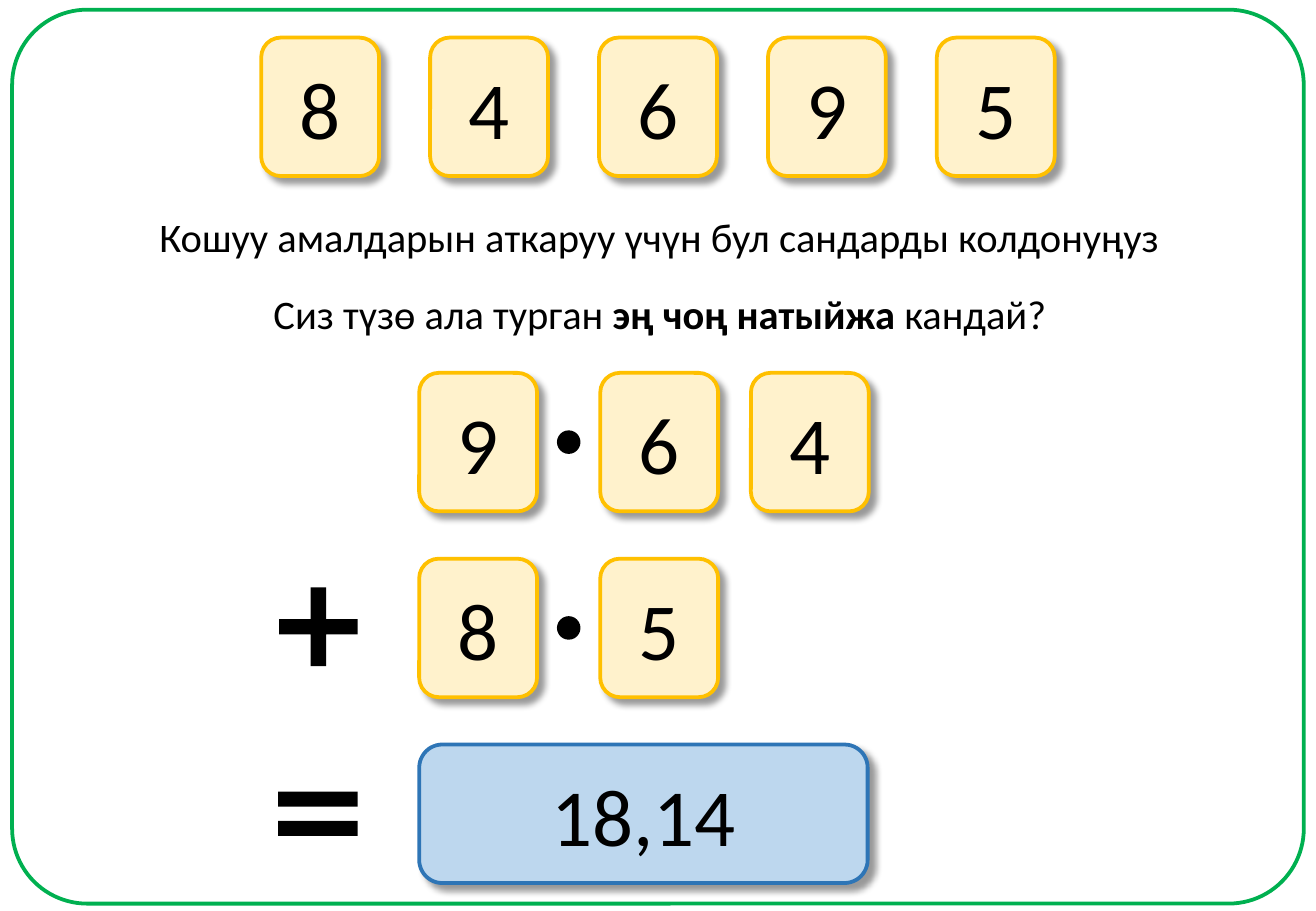
from dataclasses import dataclass

from pptx import Presentation
from pptx.dml.color import RGBColor
from pptx.enum.shapes import MSO_SHAPE
from pptx.enum.text import MSO_ANCHOR, MSO_AUTO_SIZE, PP_ALIGN
from pptx.oxml import parse_xml
from pptx.oxml.ns import nsdecls, qn
from pptx.shapes.autoshape import Shape
from pptx.slide import Slide
from pptx.text.text import TextFrame
from pptx.util import Inches, Pt

ROUNDED = MSO_SHAPE.ROUNDED_RECTANGLE
OVAL = MSO_SHAPE.OVAL
PLUS = MSO_SHAPE.MATH_PLUS
EQUAL = MSO_SHAPE.MATH_EQUAL
MIDDLE = MSO_ANCHOR.MIDDLE
GROW = MSO_AUTO_SIZE.SHAPE_TO_FIT_TEXT
CENTER = PP_ALIGN.CENTER

COLORS = {
    "frame": "00B050",
    "card": "FFF2CC",
    "card_edge": "FFC000",
    "answer": "BDD7EE",
    "answer_edge": "2E75B6",
    "ink": "000000",
}
CARD_FORMAT = {"vertical_anchor": MIDDLE, "word_wrap": True}
SENTENCE_FORMAT = {"word_wrap": False, "auto_size": GROW}

CARD_WIDTH, CARD_HEIGHT = 0.97, 1.14
DIGITS_LEFT, DIGITS_TOP, DIGITS_STEP = 2.15, 0.31, 1.39
ROWS_TOP, ROWS_STEP = 3.07, 1.53
UNITS_LEFT, TENTHS_LEFT, HUNDREDTHS_LEFT = 3.45, 4.94, 6.18
POINT_LEFT, POINT_DROP, POINT_SIZE = 4.59, 0.48, 0.18


@dataclass(frozen=True)
class Figure:
    kind: MSO_SHAPE
    left: float
    top: float
    width: float
    height: float
    fill: str | None = None
    edge: str | None = None
    edge_width: float = 2.25
    adjustments: tuple[float, ...] = ()
    text: str = ""


@dataclass(frozen=True)
class Sentence:
    left: float
    top: float
    width: float
    runs: tuple[tuple[str, bool], ...]


def color(name: str) -> RGBColor:
    return RGBColor.from_string(COLORS[name])


def write(frame: TextFrame, runs: tuple[tuple[str, bool], ...], size: int) -> None:
    paragraph = frame.paragraphs[0]
    paragraph.alignment = CENTER
    for text, bold in runs:
        run = paragraph.add_run()
        run.text = text
        font_format = {"name": "Calibri", "size": Pt(size), "bold": bold}
        for attribute, value in font_format.items():
            setattr(run.font, attribute, value)
        run.font.color.rgb = color("ink")


def add_shadow(shape: Shape) -> None:
    effects = shape._element.spPr.find(qn("a:effectLst"))
    effects.append(parse_xml(
        f'<a:outerShdw {nsdecls("a")} blurRad="{Pt(4)}" dist="{Pt(5)}" '
        'dir="2700000" algn="tl" rotWithShape="0">'
        f'<a:srgbClr val="{COLORS["ink"]}"><a:alpha val="40000"/></a:srgbClr>'
        '</a:outerShdw>'))


def draw_figure(slide: Slide, figure: Figure) -> None:
    bounds = (figure.left, figure.top, figure.width, figure.height)
    shape = slide.shapes.add_shape(figure.kind, *map(Inches, bounds))
    shape.shadow.inherit = False
    for index, value in enumerate(figure.adjustments):
        shape.adjustments[index] = value
    if figure.fill:
        shape.fill.solid()
        shape.fill.fore_color.rgb = color(figure.fill)
    else:
        shape.fill.background()
    if figure.edge:
        shape.line.color.rgb = color(figure.edge)
        shape.line.width = Pt(figure.edge_width)
    else:
        shape.line.fill.background()
    if figure.text:
        add_shadow(shape)
        for attribute, value in CARD_FORMAT.items():
            setattr(shape.text_frame, attribute, value)
        write(shape.text_frame, ((figure.text, False),), 48)


def draw_sentence(slide: Slide, sentence: Sentence) -> None:
    bounds = (sentence.left, sentence.top, sentence.width, 0.5)
    frame = slide.shapes.add_textbox(*map(Inches, bounds)).text_frame
    for attribute, value in SENTENCE_FORMAT.items():
        setattr(frame, attribute, value)
    write(frame, sentence.runs, 24)


def card(digit: str, left: float, top: float) -> Figure:
    return Figure(ROUNDED, left, top, CARD_WIDTH, CARD_HEIGHT,
                  "card", "card_edge", text=digit)


def number_row(digits: str, top: float) -> list[Figure]:
    columns = (UNITS_LEFT, TENTHS_LEFT, HUNDREDTHS_LEFT)
    cards = [card(digit, left, top) for digit, left in zip(digits, columns)]
    point = Figure(OVAL, POINT_LEFT, top + POINT_DROP, POINT_SIZE, POINT_SIZE,
                   "ink", "ink", 1)
    return [*cards, point]


def main() -> None:
    presentation = Presentation()
    presentation.slide_width = Inches(10.83)
    presentation.slide_height = Inches(7.5)
    slide = presentation.slides.add_slide(presentation.slide_layouts[6])

    # Frame and the digits to choose from
    figures = [Figure(ROUNDED, 0.1, 0.08, 10.63, 7.36, edge="frame",
                      adjustments=(0.084,))]
    figures += [card(digit, DIGITS_LEFT + column * DIGITS_STEP, DIGITS_TOP)
                for column, digit in enumerate("84695")]

    # Addition with its answer
    for row, digits in enumerate(("964", "85")):
        figures += number_row(digits, ROWS_TOP + row * ROWS_STEP)
    figures += [
        Figure(ROUNDED, UNITS_LEFT, ROWS_TOP + 2 * ROWS_STEP, 3.69, CARD_HEIGHT,
               "answer", "answer_edge", text="18,14"),
        Figure(PLUS, 2.18, 4.72, 0.88, 0.88, "ink", adjustments=(0.144,)),
        Figure(EQUAL, 2.17, 6.2, 0.89, 1, "ink", adjustments=(0.123, 0.118)),
    ]
    for figure in figures:
        draw_figure(slide, figure)

    # Task
    sentences = (
        Sentence(1.17, 1.7, 8.51, (
            ("Кошуу амалдарын аткаруу үчүн бул сандарды колдонуңуз", False),)),
        Sentence(2.12, 2.33, 6.62, (
            ("Сиз түзө ала турган ", False),
            ("эң чоң натыйжа ", True),
            ("кандай?", False))),
    )
    for sentence in sentences:
        draw_sentence(slide, sentence)

    presentation.save("out.pptx")


if __name__ == "__main__":
    main()
